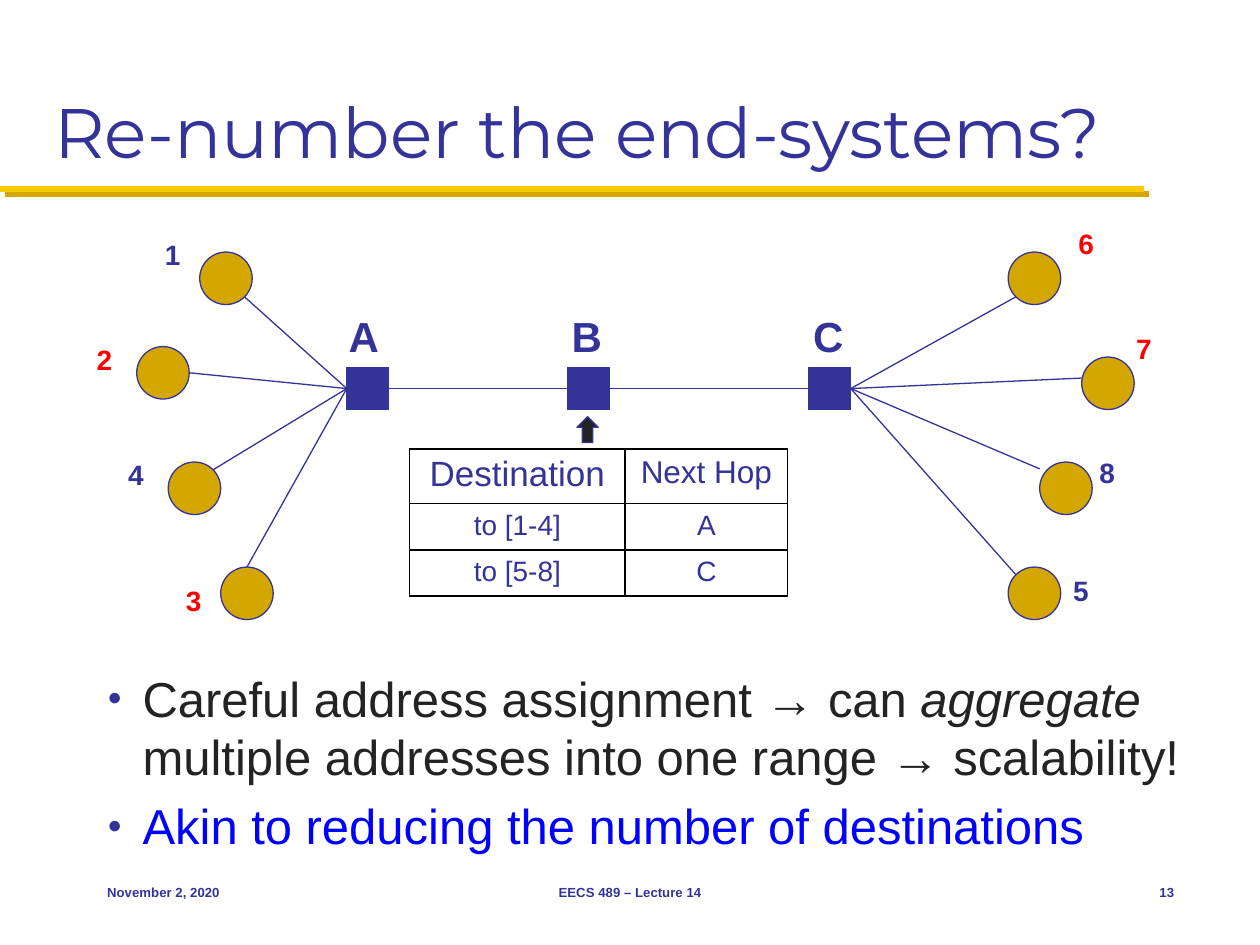
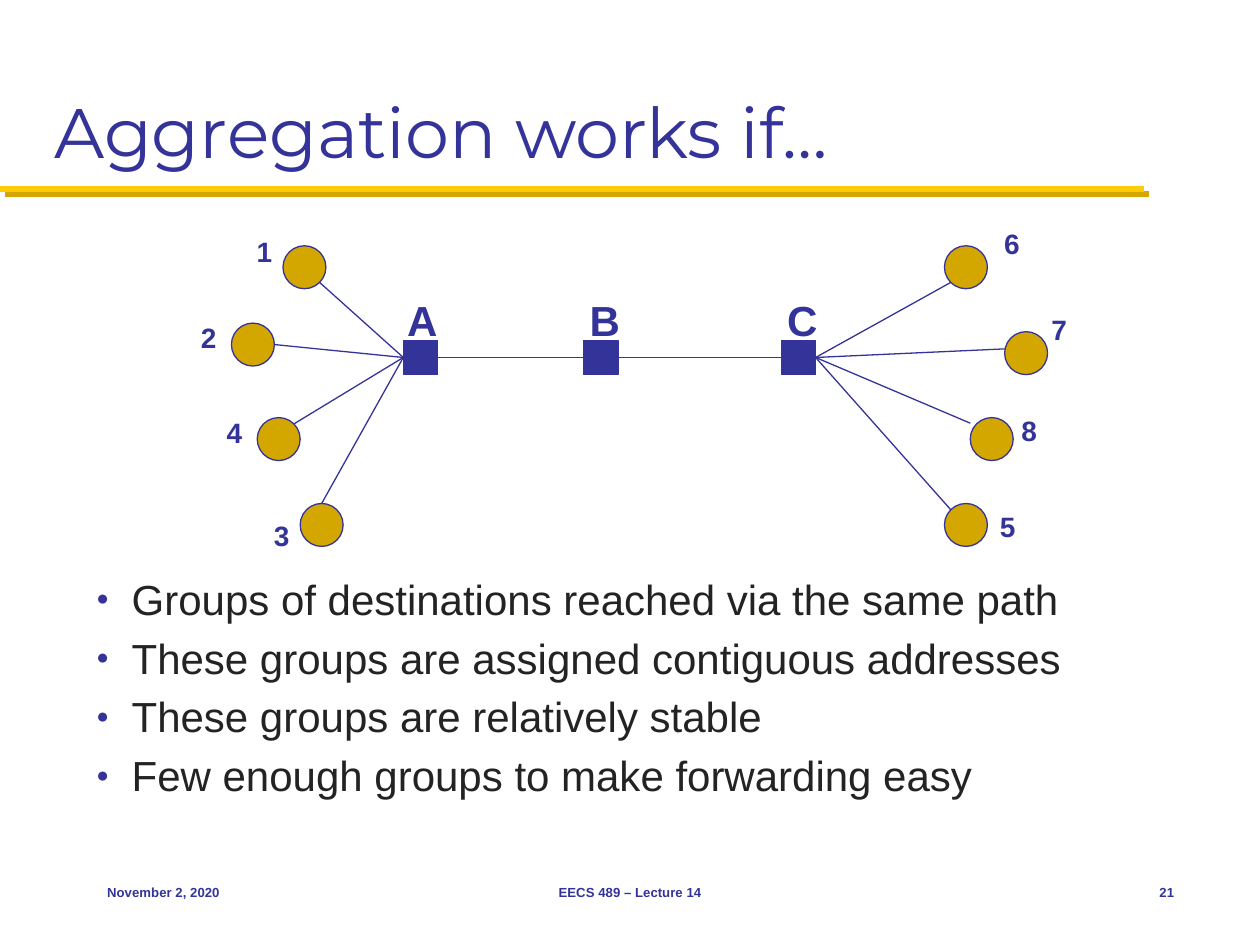
from lxml import etree
from pptx import Presentation
from pptx import util as u
from pptx.dml.color import RGBColor
from pptx.enum import shapes, text
from pptx.oxml import ns

NAVY, GOLD, YELLOW = "333399", "D3A600", "FFCB05"
INK, RED, BLUE, BLACK = "232323", "FF0000", "0000FF", "000000"
GRID = 2.54 / 12
HOST_SIZE, ROUTER_SIZE = 5, 4
ROUTER_TOP = 35
ROUTERS = {"A": (33, 32), "B": (54, 53.25), "C": (77, 76.25)}
LETTER_TOP = 29
# number: host corner, label corner, spoke start within the host, router
HOSTS = {
    "1": ((19, 24), (14.5, 22), (0.85, 0.85), "A"),
    "2": ((13, 33), (8, 32), (1, 0.5), "A"),
    "4": ((16, 44), (11, 43), (0.85, 0.15), "A"),
    "3": ((21, 54), (16.5, 55), (0.5, 0), "A"),
    "6": ((96, 24), (101.5, 21), (0.15, 0.85), "C"),
    "7": ((103, 34), (107, 31), (0, 0.4), "C"),
    "8": ((99, 44), (103.5, 42.75), (0, 0.13), "C"),
    "5": ((96, 54), (101, 54), (0.15, 0.15), "C"),
}
TOP, LEFT, BOTTOM, RIGHT = range(4)


def colour(value):
    return RGBColor.from_string(value)


def add_xml(parent, tag, **attributes):
    return etree.SubElement(parent, ns.qn(tag), attributes)


def add_colour_xml(parent, value):
    add_xml(add_xml(parent, "a:solidFill"), "a:srgbClr", val=value)


def format_run(run, size, value, bold=False, italic=False, font="Arial"):
    run.font.size = u.Pt(size)
    run.font.name = font
    run.font.bold = bold
    run.font.italic = italic
    run.font.color.rgb = colour(value)


def place(shape, box):
    shape.left, shape.top, shape.width, shape.height = map(u.Cm, box)


def add_label(slide, box, label, size, value=NAVY, align=None, wrap=False):
    shape = slide.shapes.add_textbox(*map(u.Cm, box))
    frame = shape.text_frame
    frame.text = label
    frame.word_wrap = wrap
    if wrap:
        frame.vertical_anchor = text.MSO_ANCHOR.MIDDLE
    else:
        frame.auto_size = text.MSO_AUTO_SIZE.SHAPE_TO_FIT_TEXT
    frame.paragraphs[0].alignment = align or text.PP_ALIGN.LEFT
    format_run(frame.paragraphs[0].runs[0], size, value, bold=True)


def add_figure(slide, kind, box, fill):
    shape = slide.shapes.add_shape(kind, *map(u.Cm, box))
    shape.shadow.inherit = False
    shape.fill.solid()
    shape.fill.fore_color.rgb = colour(fill)
    shape.line.color.rgb = colour(NAVY)
    shape.line.width = u.Pt(0.75)
    return shape


def add_line(slide, start=(0, 0), end=(0, 0), value=NAVY, width=0.75):
    line = slide.shapes.add_connector(
        shapes.MSO_CONNECTOR.STRAIGHT, *map(u.Cm, start + end))
    line.line.color.rgb = colour(value)
    line.line.width = u.Pt(width)
    effects = add_xml(line._element.spPr, "a:effectLst")
    return line, effects


def add_band(slide):
    _, effects = add_line(slide, (0, 3.81), (23.06, 3.81), YELLOW, 3.5)
    shadow = add_xml(effects, "a:outerShdw", dist=str(u.Pt(4.2)),
                     dir="2700000", algn="ctr", rotWithShape="0")
    add_xml(shadow, "a:srgbClr", val=GOLD)


def add_title(slide, title):
    shape = slide.shapes.title
    place(shape, (0.84, 0.43, 23.7, 3.18))
    frame = shape.text_frame
    frame.text = title
    frame.vertical_anchor = text.MSO_ANCHOR.BOTTOM
    frame.auto_size = text.MSO_AUTO_SIZE.NONE
    frame.paragraphs[0].alignment = text.PP_ALIGN.LEFT
    format_run(frame.paragraphs[0].runs[0], 40, NAVY, font="Montserrat")


def add_bullet(paragraph):
    properties = paragraph._p.get_or_add_pPr()
    properties.set("marL", str(u.Cm(0.71)))
    properties.set("indent", str(u.Cm(-0.71)))
    add_xml(add_xml(properties, "a:buClr"), "a:srgbClr", val=NAVY)
    add_xml(properties, "a:buSzPct", val="50000")
    add_xml(properties, "a:buFont", typeface="Arial")
    add_xml(properties, "a:buChar", char="●")


def add_list(slide, box, size, items):
    shape = slide.placeholders[1]
    place(shape, box)
    frame = shape.text_frame
    frame.auto_size = text.MSO_AUTO_SIZE.NONE
    for index, (item, value) in enumerate(items):
        paragraph = frame.add_paragraph() if index else frame.paragraphs[0]
        add_bullet(paragraph)
        paragraph.space_before = u.Pt(0.2 * size if index else 0)
        for part, words in enumerate(item.split("*")):
            run = paragraph.add_run()
            run.text = words
            format_run(run, size, value, italic=part % 2 == 1)


def add_footer(slide, number):
    for left, width, label, align in (
            (1.91, 5.29, "November 2, 2020", text.PP_ALIGN.LEFT),
            (8.68, 8.04, "EECS 489 – Lecture 14", text.PP_ALIGN.CENTER),
            (22.23, 1.69, str(number), text.PP_ALIGN.RIGHT)):
        add_label(slide, (left, 17.36, width, 1.27), label, 7.5,
                  align=align, wrap=True)


def add_network(slide, left, top, unit, red_hosts=""):
    def spot(column, row):
        return (left + (column - ROUTERS["A"][0]) * unit,
                top + (row - ROUTER_TOP) * unit)

    def box(corner, width, height):
        return spot(*corner) + (width * unit, height * unit)

    routers = {}
    for letter, (column, letter_column) in ROUTERS.items():
        routers[letter] = add_figure(
            slide, shapes.MSO_SHAPE.RECTANGLE,
            box((column, ROUTER_TOP), ROUTER_SIZE, ROUTER_SIZE), NAVY)
        add_label(slide, box((letter_column, LETTER_TOP), 5, 6), letter, 24)
    for first, second in ("AB", "BC"):
        link, _ = add_line(slide)
        link.begin_connect(routers[first], RIGHT)
        link.end_connect(routers[second], LEFT)
    for number, (corner, label_corner, start, letter) in HOSTS.items():
        add_figure(slide, shapes.MSO_SHAPE.OVAL,
                   box(corner, HOST_SIZE, HOST_SIZE), GOLD)
        spoke, _ = add_line(slide, spot(
            *(c + HOST_SIZE * s for c, s in zip(corner, start))))
        spoke.end_connect(routers[letter], LEFT if letter == "A" else RIGHT)
        add_label(slide, box(label_corner, 4.4, 4.8), number, 16,
                  RED if number in red_hosts else NAVY)


def add_borders(cell):
    properties = cell._tc.get_or_add_tcPr()
    for index, side in enumerate(("a:lnL", "a:lnR", "a:lnT", "a:lnB")):
        border = etree.Element(ns.qn(side), w=str(u.Pt(1)))
        add_colour_xml(border, BLACK)
        properties.insert(index, border)


def add_forwarding_table(slide):
    rows = (("Destination", "Next Hop"), ("to [1-4]", "A"), ("to [5-8]", "C"))
    sizes = ((20, 18), (16, 16), (16, 16))
    widths, heights = (4.34, 3.28), (1.03, 0.88, 0.88)
    table = slide.shapes.add_table(
        3, 2, u.Cm(8.26), u.Cm(9.05),
        u.Cm(sum(widths)), u.Cm(sum(heights))).table
    table.first_row = table.horz_banding = False
    for column, width in zip(table.columns, widths):
        column.width = u.Cm(width)
    for row, height, labels, row_sizes in zip(
            table.rows, heights, rows, sizes):
        row.height = u.Cm(height)
        for cell, label, size in zip(row.cells, labels, row_sizes):
            cell.text = label
            cell.fill.background()
            add_borders(cell)
            paragraph = cell.text_frame.paragraphs[0]
            paragraph.alignment = text.PP_ALIGN.CENTER
            format_run(paragraph.runs[0], size, NAVY)


def add_slide(presentation, title, number):
    slide = presentation.slides.add_slide(presentation.slide_layouts[1])
    add_band(slide)
    add_title(slide, title)
    add_footer(slide, number)
    return slide


def main():
    presentation = Presentation()
    presentation.slide_width = u.Cm(25.4)
    presentation.slide_height = u.Cm(19.05)

    slide = add_slide(presentation, "Re-number the end-systems?", 13)
    add_list(slide, (1.91, 13.34, 22.23, 3.99), 28, (
        ("Careful address assignment → can *aggregate* multiple addresses "
         "into one range → scalability!", INK),
        ("Akin to reducing the number of destinations", BLUE)))
    add_forwarding_table(slide)
    add_network(slide, 6.99, 7.41, GRID, red_hosts="2367")
    add_figure(slide, shapes.MSO_SHAPE.UP_ARROW,
               (11.63, 8.4, 0.43, 0.52), INK)

    slide = add_slide(presentation, "Aggregation works if…", 21)
    add_list(slide, (1.69, 11.43, 22.01, 5.31), 24, [(item, INK) for item in (
        "Groups of destinations reached via the same path",
        "These groups are assigned contiguous addresses",
        "These groups are relatively stable",
        "Few enough groups to make forwarding easy")])
    add_network(slide, 8.13, 6.86, GRID * 9 / 11)

    presentation.save("out.pptx")


if __name__ == "__main__":
    main()
